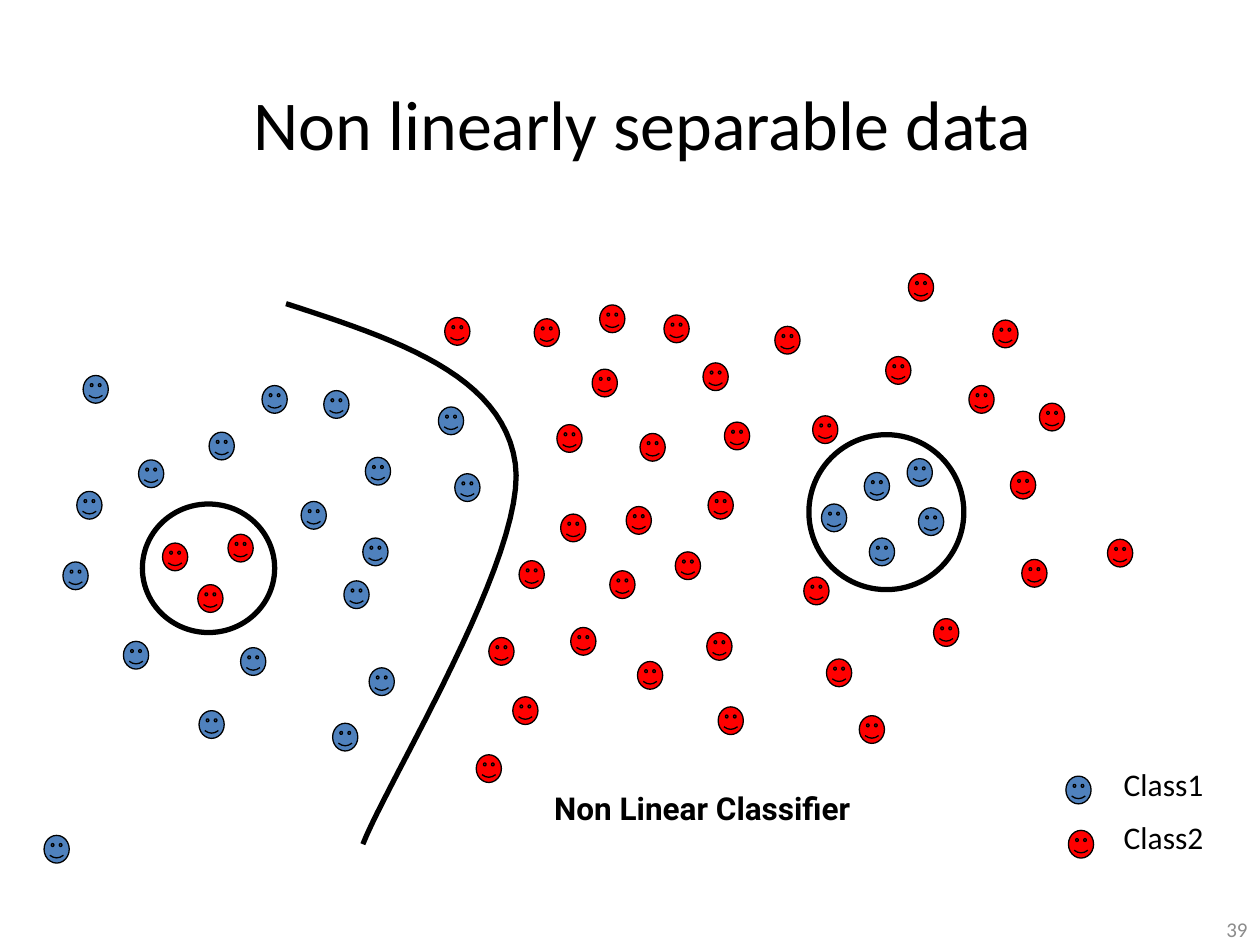
from dataclasses import dataclass

from pptx import Presentation
from pptx.dml.color import RGBColor
from pptx.enum import shapes, text
from pptx.util import Inches, Pt


@dataclass(frozen=True)
class Theme:
    class1: str = "4F81BD"
    class2: str = "FF0000"
    ink: str = "000000"
    muted: str = "8C8C8C"
    font: str = "Calibri"
    label_font: str = "Roboto"
    title_size: int = 40
    label_size: int = 18
    number_size: int = 12
    face_line: float = 0.75
    boundary_line: float = 3


THEME = Theme()
FACE_SIZE = (0.2, 0.22)

CLASS1_POINTS = [
    (1.66, 3.43), (2.08, 3.06), (2.57, 3.1), (0.98, 5.09), (0.61, 3.9),
    (2.9, 3.63), (1.58, 5.64), (0.66, 2.98), (1.1, 3.65), (0.5, 4.46),
    (2.88, 4.27), (2.64, 5.74), (2.73, 4.61), (3.61, 3.76), (2.93, 5.3),
    (1.91, 5.14), (2.39, 3.98), (0.35, 6.63), (6.86, 3.75), (6.9, 4.27),
    (7.29, 4.03), (7.2, 3.64), (6.52, 4), (3.48, 3.23),
]
CLASS2_POINTS = [
    (4.12, 4.45), (4.24, 2.53), (4.7, 2.93), (4.76, 2.42), (5.27, 2.5),
    (4.45, 4.08), (4.42, 3.37), (7.03, 2.83), (4.97, 4.02), (5.62, 3.9),
    (7.21, 2.17), (5.08, 3.44), (5.75, 3.35), (4.84, 4.53), (5.36, 4.38),
    (8.02, 3.74), (6.45, 3.3), (7.69, 3.06), (6.38, 4.58), (7.88, 2.54),
    (5.58, 2.88), (4.53, 4.98), (4.07, 5.53), (3.78, 5.99), (3.53, 2.52),
    (1.81, 4.24), (1.29, 4.31), (5.61, 5.02), (6.56, 5.23), (7.41, 4.91),
    (8.11, 4.44), (8.25, 3.2), (8.79, 4.28), (1.57, 4.64), (6.15, 2.59),
    (5.06, 5.25), (5.7, 5.61), (6.82, 5.68), (3.88, 5.06),
]
BOUNDARY_CURVES = [
    ((2.27, 2.41), (3.13, 2.69), (3.99, 2.97), (4.09, 3.68)),
    ((4.09, 3.68), (4.19, 4.39), (3.08, 6.19), (2.88, 6.7)),
]
BOUNDARY_CIRCLES = [(1.13, 4, 1.05, 1.02), (6.42, 3.45, 1.23, 1.23)]
LEGEND = [
    ("Class1", THEME.class1, 6.02, (8.46, 6.16)),
    ("Class2", THEME.class2, 6.44, (8.48, 6.59)),
]


def inches(*lengths):
    return [Inches(length) for length in lengths]


def style_shape(shape, line_width, fill=None):
    shape.shadow.inherit = False
    if fill:
        shape.fill.solid()
        shape.fill.fore_color.rgb = RGBColor.from_string(fill)
    else:
        shape.fill.background()
    shape.line.color.rgb = RGBColor.from_string(THEME.ink)
    shape.line.width = Pt(line_width)


def style_font(font, size, color=THEME.ink, name=THEME.font, bold=False):
    font.size = Pt(size)
    font.color.rgb = RGBColor.from_string(color)
    font.name = name
    font.bold = bold


def add_face(container, position, color):
    face = container.add_shape(
        shapes.MSO_SHAPE.SMILEY_FACE, *inches(*position, *FACE_SIZE))
    style_shape(face, THEME.face_line, color)


def add_label(container, box, words, size, align=text.PP_ALIGN.LEFT,
              anchor=text.MSO_ANCHOR.TOP, **font_style):
    frame = container.add_textbox(*inches(*box)).text_frame
    frame.word_wrap = True
    frame.vertical_anchor = anchor
    paragraph = frame.paragraphs[0]
    paragraph.text = words
    paragraph.alignment = align
    style_font(paragraph.font, size, **font_style)


def bezier_point(curve, t):
    weights = ((1 - t) ** 3, 3 * t * (1 - t) ** 2, 3 * t ** 2 * (1 - t), t ** 3)
    return tuple(sum(weight * point[axis] for weight, point in zip(weights, curve))
                 for axis in (0, 1))


def add_curve(container, curves, steps=24):
    points = [inches(*bezier_point(curve, step / steps))
              for curve in curves for step in range(1, steps + 1)]
    builder = container.build_freeform(*inches(*curves[0][0]))
    builder.add_line_segments(points, close=False)
    style_shape(builder.convert_to_shape(), THEME.boundary_line)


def add_boundaries(slide):
    group = slide.shapes.add_group_shape().shapes
    add_curve(group, BOUNDARY_CURVES)
    for box in BOUNDARY_CIRCLES:
        circle = group.add_shape(shapes.MSO_SHAPE.OVAL, *inches(*box))
        style_shape(circle, THEME.boundary_line)


def add_legend(slide):
    group = slide.shapes.add_group_shape().shapes
    for words, color, top, face_position in LEGEND:
        add_label(group, (8.82, top, 1.18, 0.5), words, THEME.label_size)
        add_face(group, face_position, color)


def set_title(slide, words):
    title = slide.shapes.title
    title.left, title.top, title.width, title.height = inches(0.85, 0.35, 8.5, 1.25)
    title.text_frame.vertical_anchor = text.MSO_ANCHOR.MIDDLE
    paragraph = title.text_frame.paragraphs[0]
    paragraph.text = words
    paragraph.alignment = text.PP_ALIGN.CENTER
    style_font(paragraph.font, THEME.title_size)


def main():
    presentation = Presentation()
    presentation.slide_width, presentation.slide_height = inches(10, 7.5)
    slide = presentation.slides.add_slide(presentation.slide_layouts[5])
    for points, color in ((CLASS1_POINTS, THEME.class1), (CLASS2_POINTS, THEME.class2)):
        for point in points:
            add_face(slide.shapes, point, color)
    set_title(slide, "Non linearly separable data")
    add_boundaries(slide)
    add_label(slide.shapes, (4.3, 6.21, 3.66, 0.5), "Non Linear Classifier",
              THEME.label_size, name=THEME.label_font, bold=True)
    add_legend(slide)
    add_label(slide.shapes, (7.67, 7.25, 2.33, 0.25), "39", THEME.number_size,
              text.PP_ALIGN.RIGHT, text.MSO_ANCHOR.MIDDLE, color=THEME.muted)
    presentation.save("out.pptx")


main()
